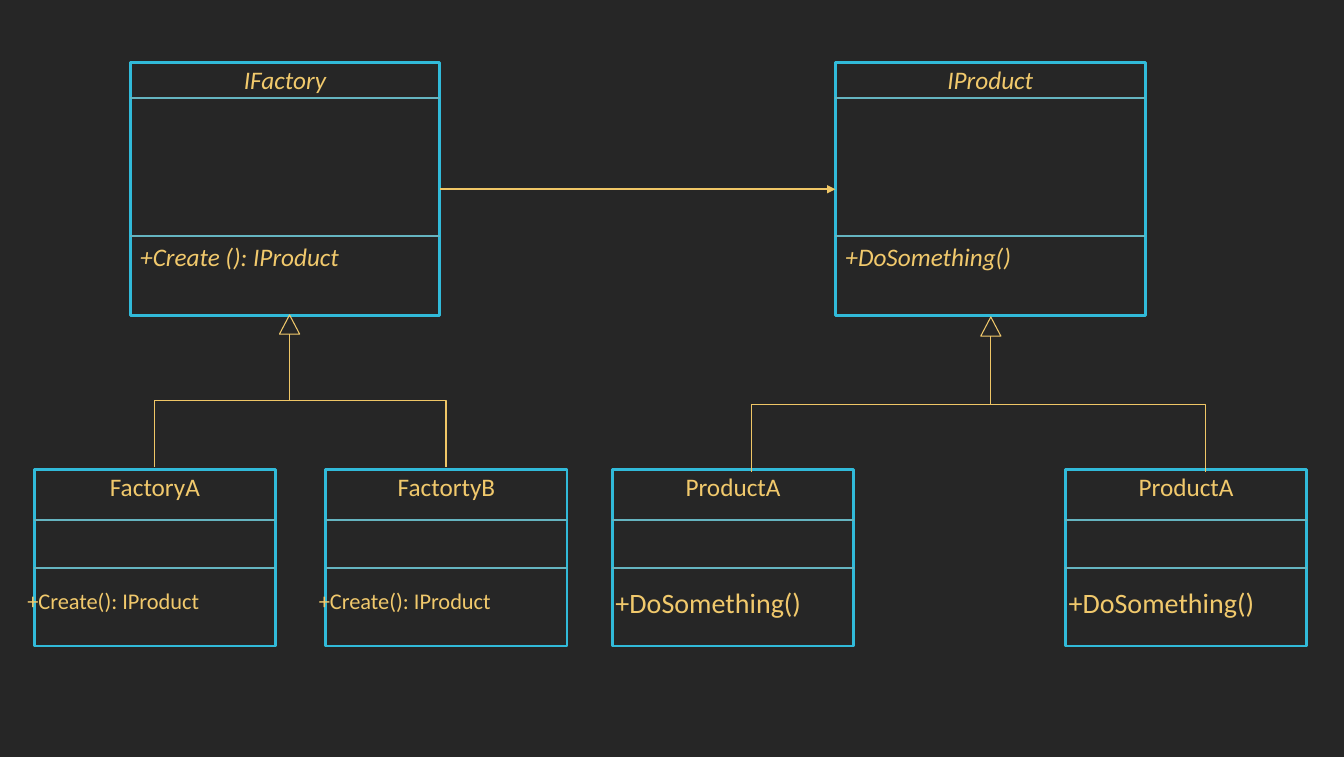
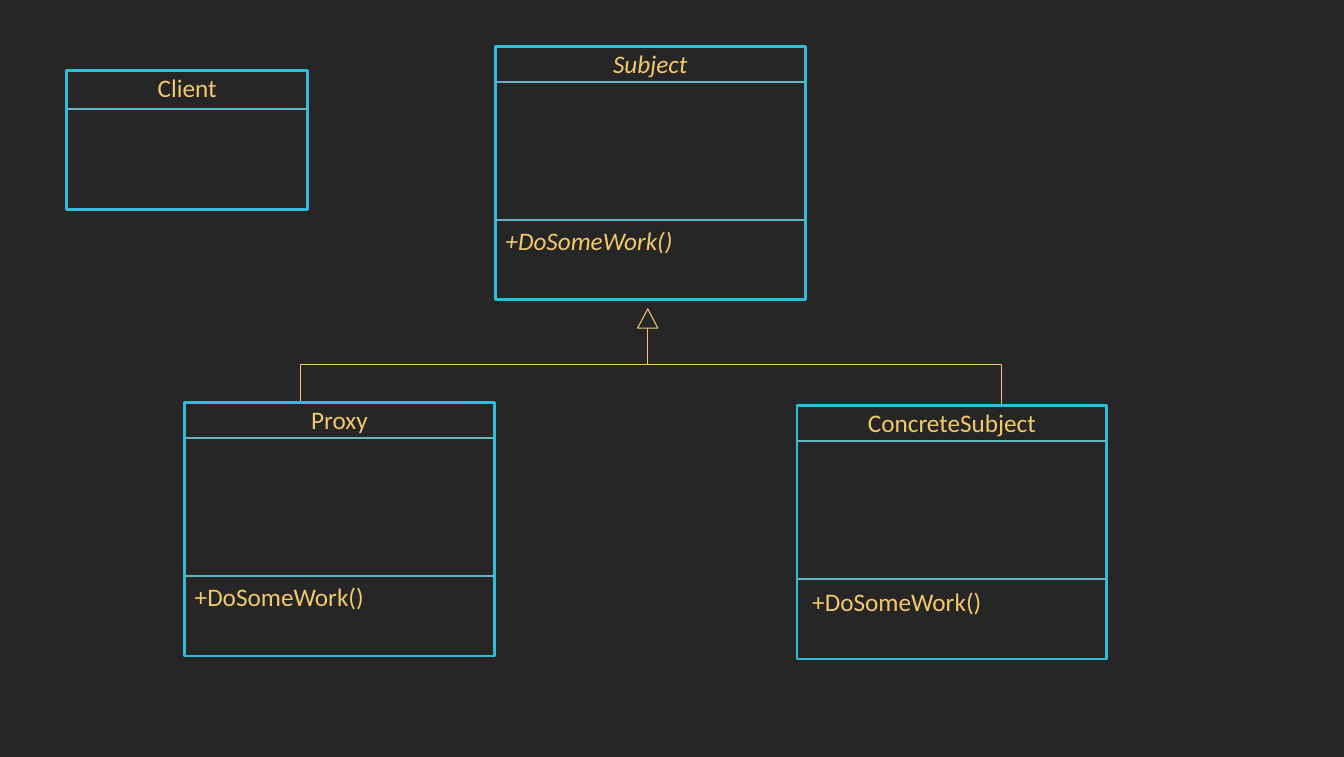
from pptx import Presentation
from pptx.dml.color import RGBColor
from pptx.enum import shapes, text
from pptx.oxml import ns, xmlchemy
from pptx.util import Inches, Pt

BACKGROUND, FRAME, RULE = "262626", "31BAD9", "65B4C0"
TEXT, LINK = "F1C96C", "EFC666"
FONT = "Calibri"
INSET = 0.05
LARGE = (3.07, 2.51)
SMALL = (2.39, 1.75)
LARGE_RULES = (0.35, 1.72)
SMALL_RULES = (0.5, 0.98)


def color(value):
    return RGBColor.from_string(value)


def style_line(shape, value, weight):
    shape.line.color.rgb = color(value)
    shape.line.width = Pt(weight)


def add_outline(page, kind, left, top, width, height, value, weight):
    shape = page.shapes.add_shape(
        kind, Inches(left), Inches(top), Inches(width), Inches(height))
    shape.shadow.inherit = False
    shape.fill.background()
    style_line(shape, value, weight)
    return shape


def add_line(page, start, end, value, weight):
    line = page.shapes.add_connector(
        shapes.MSO_CONNECTOR.STRAIGHT, *map(Inches, start + end))
    style_line(line, value, weight)
    properties = line._element.spPr
    properties.append(xmlchemy.OxmlElement("a:effectLst"))
    return line


def add_text(page, left, top, width, words, size=18, italic=False, centered=False):
    box = page.shapes.add_textbox(
        Inches(left), Inches(top), Inches(width), Inches(size / 50 + 0.04))
    frame = box.text_frame
    frame.word_wrap = True
    frame.margin_left = frame.margin_right = Inches(INSET)
    frame.margin_top = frame.margin_bottom = Inches(INSET)
    para = frame.paragraphs[0]
    para.text = words
    para.alignment = text.PP_ALIGN.CENTER if centered else text.PP_ALIGN.LEFT
    para.font.name = FONT
    para.font.size = Pt(size)
    para.font.italic = italic
    para.font.color.rgb = color(TEXT)


def add_class(page, left, top, name, size=LARGE, rules=LARGE_RULES, member=None,
              offset=(INSET, 1.72), member_size=18, abstract=False):
    """Class box: frame, compartment rules, centred name and one member."""
    width, height = size
    frame = add_outline(page, shapes.MSO_SHAPE.RECTANGLE,
                        left, top, width, height, FRAME, 2)
    for drop in rules:
        add_line(page, (left, top + drop), (left + width, top + drop), RULE, 1.5)
    add_text(page, left + INSET, top - 0.03, width - 2 * INSET, name,
             italic=abstract, centered=True)
    if member:
        dx, dy = offset
        add_text(page, left + dx, top + dy, width - 2 * INSET, member,
                 member_size, abstract)
    return frame


def add_inheritance(page, center, top, branch, children, weight):
    """Hollow arrowhead with an elbow line down to each child point."""
    width, height = 0.2, 0.19
    add_outline(page, shapes.MSO_SHAPE.ISOSCELES_TRIANGLE,
                center - width / 2, top, width, height, TEXT, weight)
    for x, y in children:
        path = page.shapes.build_freeform(Inches(center), Inches(top + height))
        corners = [(center, branch), (x, branch), (x, y)]
        path.add_line_segments(
            [(Inches(a), Inches(b)) for a, b in corners], close=False)
        elbow = path.convert_to_shape()
        elbow.shadow.inherit = False
        elbow.fill.background()
        style_line(elbow, LINK, weight)


def build_factory(page):
    # Interfaces and the link between them
    factory = add_class(page, 1.29, 0.62, "IFactory",
                        member="+Create (): IProduct", abstract=True)
    product = add_class(page, 8.28, 0.62, "IProduct",
                        member="+DoSomething()", abstract=True)
    arrow = add_line(page, (4.36, 1.88), (8.28, 1.88), LINK, 1.5)
    arrow.begin_connect(factory, 3)
    arrow.end_connect(product, 1)
    head = xmlchemy.OxmlElement("a:tailEnd")
    head.set("type", "triangle")
    arrow._element.spPr.find(ns.qn("a:ln")).append(head)

    # Concrete classes
    create = ("+Create(): IProduct", (-0.12, 1.12), 16)
    act = ("+DoSomething()", (-0.02, 1.1), 20)
    for left, name, (member, offset, size) in (
            (0.34, "FactoryA", create), (3.23, "FactortyB", create),
            (6.07, "ProductA", act), (10.56, "ProductA", act)):
        add_class(page, left, 4.65, name, SMALL, SMALL_RULES, member, offset, size)

    # Inheritance
    add_inheritance(page, 2.87, 3.12, 3.97, [(1.53, 4.63), (4.42, 4.63)], 0)
    add_inheritance(page, 9.82, 3.14, 4.01, [(7.45, 4.68), (11.95, 4.68)], 0.75)


def build_proxy(page):
    # Classes
    work = "+DoSomeWork()"
    add_class(page, 0.66, 0.7, "Client", (2.39, 1.38), (0.38,))
    add_class(page, 4.91, 0.46, "Subject", member=work, abstract=True)
    add_class(page, 1.83, 3.99, "Proxy", member=work)
    add_class(page, 7.9, 4.02, "ConcreteSubject", member=work, offset=(0.1, 1.74))

    # Inheritance
    add_inheritance(page, 6.42, 3.06, 3.61, [(2.98, 3.97), (9.93, 4)], 0)


def main():
    deck = Presentation()
    deck.slide_width, deck.slide_height = Inches(13.32), Inches(7.5)
    fill = deck.slide_master.background.fill
    fill.solid()
    fill.fore_color.rgb = color(BACKGROUND)
    for build in (build_factory, build_proxy):
        build(deck.slides.add_slide(deck.slide_layouts[6]))
    deck.save("out.pptx")


if __name__ == "__main__":
    main()
